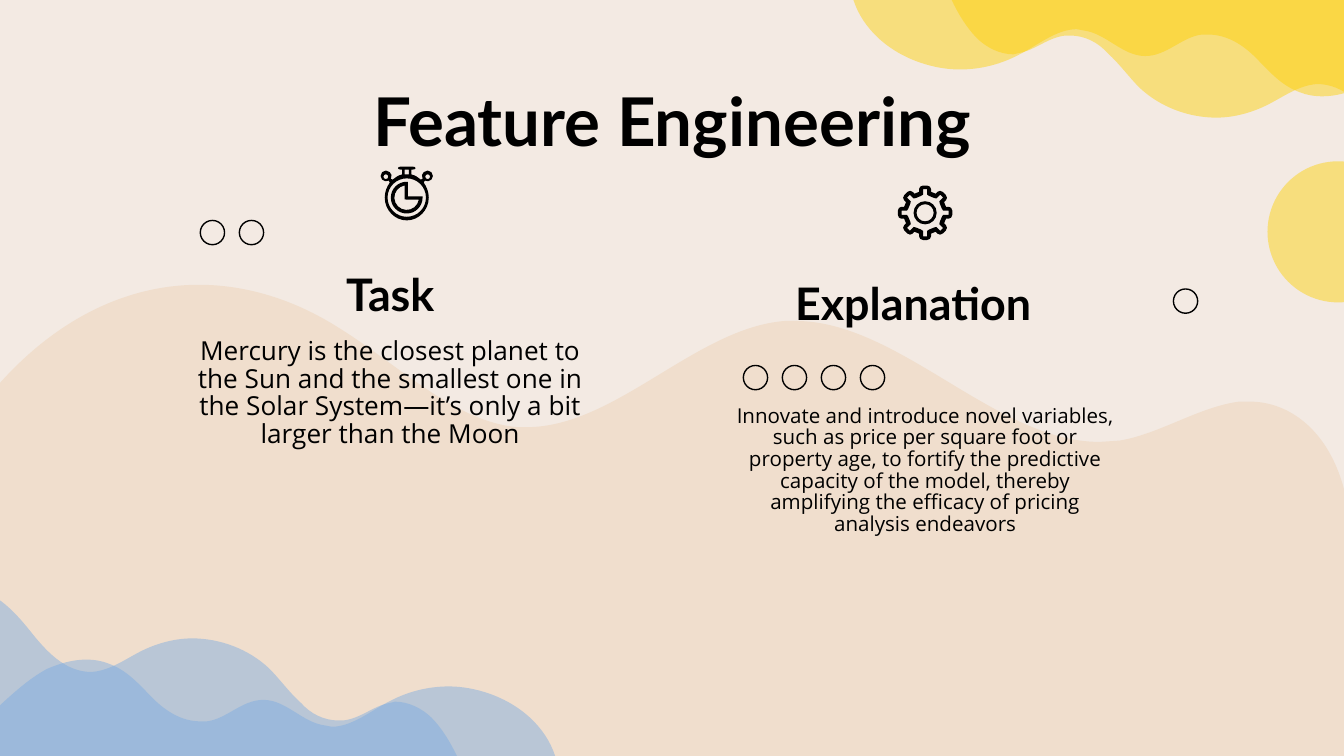
import math
import pptx
import pptx.dml.color
import pptx.enum.shapes
import pptx.enum.text
import pptx.oxml.ns
import pptx.util
from lxml import etree

Pt = pptx.util.Pt
COLOURS = {"paper": "F3EAE3", "sand": "F0DECD", "blue": "7CACE1", "yellow": "FED002", "ink": "000000"}
FORMATS = {
    "title": {"size": Pt(36), "name": "Lato", "bold": True},
    "heading": {"size": Pt(24), "name": "Lato", "bold": True},
    "task": {"size": Pt(14), "name": "Open Sans", "bold": False},
    "explanation": {"size": Pt(11), "name": "Open Sans", "bold": False},
}
HILL = [
    (106.6, 0), (69.1, 0, 31.7, 17.3, 0, 52.6), (0, 252.4), (720, 252.4), (720, 109.4),
    (711.4, 77, 689.8, 62.6, 669.6, 62.6), (663.8, 62.6),
    (642.2, 65.5, 621.4, 79.9, 599.8, 83.5), (589, 84.2),
    (533.5, 84.2, 481.7, 19.4, 426.2, 19.4), (420.5, 19.4),
    (373, 23, 329.8, 76.3, 282.2, 76.3), (277.2, 76.3),
    (243.4, 73.4, 213.1, 42.5, 181.4, 23), (157.7, 7.9, 131.8, 0, 106.6, 0),
]
LOW_WAVE = [
    (46.1, 0), (38.9, 0, 31.7, 2.2, 25.2, 5), (15.8, 10.1, 7.9, 17.3, 0, 24.5),
    (0, 51.6), (297.4, 51.6),
    (292.3, 36, 278.6, 23.8, 261.4, 18), (254.9, 15.8, 247.7, 14.4, 240.5, 14.4),
    (229, 14.4, 218.2, 17.3, 208.8, 22.3), (198.7, 27.4, 188.6, 36, 177.8, 36),
    (174.2, 35.3), (162, 33.8, 153.4, 21.6, 141.1, 21.6),
    (129.6, 21.6, 121.7, 31.7, 110.9, 33.1), (107.3, 33.1),
    (97.2, 33.1, 88.6, 27.4, 82.1, 20.9), (74.9, 13.7, 68.4, 5.8, 58.3, 2.2),
    (54.7, 0.7, 50.4, 0, 46.1, 0),
]
HIGH_WAVE = [
    (31, 0), (17.3, 0.7, 7.9, 11.5, 0, 21.6), (0, 89.6), (293, 89.6),
    (289.4, 82.1, 285.1, 74.9, 279.4, 69.1), (274.3, 64.1, 267.1, 60.5, 259.9, 60.5),
    (257, 61.2), (248.4, 62.6, 241.2, 69.8, 231.8, 70.6), (229.7, 70.6),
    (221.8, 70.6, 214.6, 67, 209.5, 61.2), (203, 55.4, 198, 48.2, 192.2, 42.5),
    (181.4, 32.4, 166.3, 26.6, 151.2, 26.6), (142.6, 26.6, 133.9, 28.8, 126, 32.4),
    (116.6, 36.7, 108, 43.9, 97.2, 44.6), (82.8, 44.6, 72.7, 33.1, 64.1, 22.3),
    (55.4, 11.5, 44.6, 0, 31, 0),
]
WATCH_HALF = [
    (14.1, 0), (10.8, 0), (8.9, 0, 8.9, 1.6, 10.8, 1.6),
    (11.6, 1.6), (11.6, 4.2), (9.6, 4.6, 8, 5.8, 6.5, 7), (5.6, 6.5),
    (6.5, 5, 5.8, 3.8, 5, 3), (3.9, 1.8, 2, 1.8, 0.9, 3),
    (-0.2, 4.2, -0.2, 5.9, 0.9, 7), (1.9, 8, 3.3, 8.1, 4.4, 7.5),
    (5, 8.6), (3.4, 10.8, 2.3, 13.5, 2.3, 16.6), (2.3, 23.2, 7.6, 28.8, 14.1, 28.8),
]


def pairs(part):
    return list(zip(part[::2], part[1::2]))


def mirror(half, axis):
    outline = list(half)
    for before, part in zip(half[-2::-1], half[:0:-1]):
        points = pairs(part)[-2::-1] + [before[-2:]]
        outline.append(tuple(value for x, y in points for value in (2 * axis - x, y)))
    return outline


def arc(x, y, radius, start=0, end=360):
    count = math.ceil((end - start) / 90)
    turn = math.radians((end - start) / count)
    pull = 4 / 3 * math.tan(turn / 4)
    outline = []
    for index in range(count + 1):
        angle = math.radians(start) + turn * index
        across, up = radius * math.cos(angle), radius * math.sin(angle)
        point = (x + across, y - up)
        if index:
            outline.append(leave + (point[0] + pull * up, point[1] + pull * across) + point)
        else:
            outline.append(point)
        leave = (point[0] - pull * up, point[1] - pull * across)
    return outline


def cog(x, y, half_tooth):
    tooth = half_tooth + [(-across, out) for across, out in reversed(half_tooth)]
    turns = [math.radians(45 * step) for step in range(8)]
    return [(x + across * math.cos(a) + out * math.sin(a), y + across * math.sin(a) - out * math.cos(a))
            for a in turns for across, out in tooth]


def paint(shape, colour, opacity=100):
    shape.shadow.inherit = False
    shape.line.fill.background()
    shape.fill.solid()
    shape.fill.fore_color.rgb = pptx.dml.color.RGBColor.from_string(COLOURS[colour])
    if opacity < 100:
        tint = shape.fill._xPr.find(".//" + pptx.oxml.ns.qn("a:srgbClr"))
        etree.SubElement(tint, pptx.oxml.ns.qn("a:alpha"), val=str(opacity * 1000))


def bend(shape, contours):
    lines = iter(list(shape._element.iter(pptx.oxml.ns.qn("a:lnTo"))))
    for part in (part for outline in contours for part in outline[1:]):
        line = next(lines)
        if len(part) == 6:
            curve = etree.Element(pptx.oxml.ns.qn("a:cubicBezTo"))
            line.addprevious(curve)
            for step in (line, next(lines), next(lines)):
                curve.append(step[0])
                step.getparent().remove(step)


def draw(shapes, left, top, contours, colour, opacity=100, rotation=0):
    builder = None
    for outline in contours:
        grid = [(round(x * 100), round(y * 100)) for part in outline for x, y in pairs(part)]
        if builder is None:
            builder = shapes.build_freeform(*grid[0], scale=Pt(1) / 100)
        else:
            builder.move_to(*grid[0])
        builder.add_line_segments(grid[1:], close=True)
    shape = builder.convert_to_shape(Pt(left), Pt(top))
    bend(shape, contours)
    shape.rotation = rotation
    paint(shape, colour, opacity)


def backdrop(page, width, height):
    page.background.fill.solid()
    page.background.fill.fore_color.rgb = pptx.dml.color.RGBColor.from_string(COLOURS["paper"])
    draw(page.shapes, 0, height - 252.4, [HILL], "sand")
    draw(page.shapes, 0, height - 51.6, [LOW_WAVE], "blue", 47)
    draw(page.shapes, width - 210.2, 0, [HIGH_WAVE], "yellow", 45, 180)
    draw(page.shapes, width - 262.8, 0, [LOW_WAVE], "yellow", 45, 180)
    sun = page.shapes.add_shape(pptx.enum.shapes.MSO_SHAPE.OVAL, Pt(width - 41), Pt(86.4), Pt(75.6), Pt(75.6))
    paint(sun, "yellow", 45)
    draw(page.shapes, -48.2, height - 89.6, [HIGH_WAVE], "blue", 47)


def write(page, left, top, width, height, text, style, anchor="TOP", spacing=1.0):
    box = page.shapes.add_textbox(Pt(left), Pt(top), Pt(width), Pt(height))
    frame = box.text_frame
    settings = {"word_wrap": True, "vertical_anchor": pptx.enum.text.MSO_ANCHOR[anchor]}
    settings.update({"margin_" + side: Pt(7.2) for side in ("left", "top", "right", "bottom")})
    for name, value in settings.items():
        setattr(frame, name, value)
    para = frame.paragraphs[0]
    para.alignment = pptx.enum.text.PP_ALIGN.CENTER
    para.line_spacing = spacing
    span = para.add_run()
    span.text = text
    for name, value in FORMATS[style].items():
        setattr(span.font, name, value)
    span.font.color.rgb = pptx.dml.color.RGBColor.from_string(COLOURS["ink"])


def column(page, left, top, heading, body, style, body_shift, body_drop):
    write(page, left, top, 221, 41.8, heading, "heading", "BOTTOM")
    write(page, left + body_shift, top + body_drop, 221, 82.1, body, style, spacing=0.88)


def rings(page, left, top, count):
    shapes = page.shapes.add_group_shape().shapes if count > 1 else page.shapes
    for index in range(count):
        ring = shapes.add_shape(pptx.enum.shapes.MSO_SHAPE.OVAL, Pt(left + 20.9 * index), Pt(top), Pt(13), Pt(13))
        ring.shadow.inherit = False
        ring.fill.background()
        ring.line.color.rgb = pptx.dml.color.RGBColor.from_string(COLOURS["ink"])
        ring.line.width = Pt(0.75)


def stopwatch(page, left, top):
    shapes = page.shapes.add_group_shape().shapes
    crown = [(13, 1.6), (15.2, 1.6), (15.2, 4.2), (13, 4.2)]
    holes = [arc(14.1, 16.6, 10.3), arc(2.9, 5.4, 1.3), arc(25.3, 5.4, 1.3), crown]
    draw(shapes, left, top, [mirror(WATCH_HALF, 14.1)] + holes, "ink")
    rim = arc(14.1, 16.6, 8.5, 90, 360) + [(22.6, 15.9), (14.8, 15.9), (14.8, 8.1)]
    face = arc(14.1, 16.6, 6.6, 100, 350) + [(13, 17.6)]
    draw(shapes, left, top, [rim, face], "ink")


def gear(page, left, top):
    shapes = page.shapes.add_group_shape().shapes
    rim = cog(14.6, 14.6, [(-3.2, 11.2), (-3.2, 12.7), (-2.6, 14), (-1.1, 14.6)])
    inside = cog(14.6, 14.6, [(-2.2, 9), (-1.1, 9.7), (-1.1, 12.6)])
    draw(shapes, left, top, [rim, inside], "ink")
    draw(shapes, left, top, [arc(14.6, 14.6, 6.2), arc(14.6, 14.6, 4.6)], "ink")


def feature_page(deck):
    page = deck.slides.add_slide(deck.slide_layouts[6])
    backdrop(page, 720, 405)
    write(page, 56.2, 35.3, 607.7, 58.3, "Feature Engineering", "title")
    column(page, 98.6, 136.8, "Task", "Mercury is the closest planet to the Sun and the smallest one in the Solar System—it’s only a bit larger than the Moon", "task", 0, 37.4)
    column(page, 378.7, 141.8, "Explanation", "Innovate and introduce novel variables, such as price per square foot or property age, to fortify the predictive capacity of the model, thereby amplifying the efficacy of pricing analysis endeavors", "explanation", 6.5, 68.4)
    for left, top, count in ((107.3, 118.1, 2), (398.2, 195.8, 4), (628.6, 154.8, 1)):
        rings(page, left, top, count)
    stopwatch(page, 203.8, 89.3)
    gear(page, 481, 99.4)


def main():
    deck = pptx.Presentation()
    deck.slide_width, deck.slide_height = Pt(720), Pt(405)
    feature_page(deck)
    deck.save("out.pptx")


if __name__ == "__main__":
    main()
